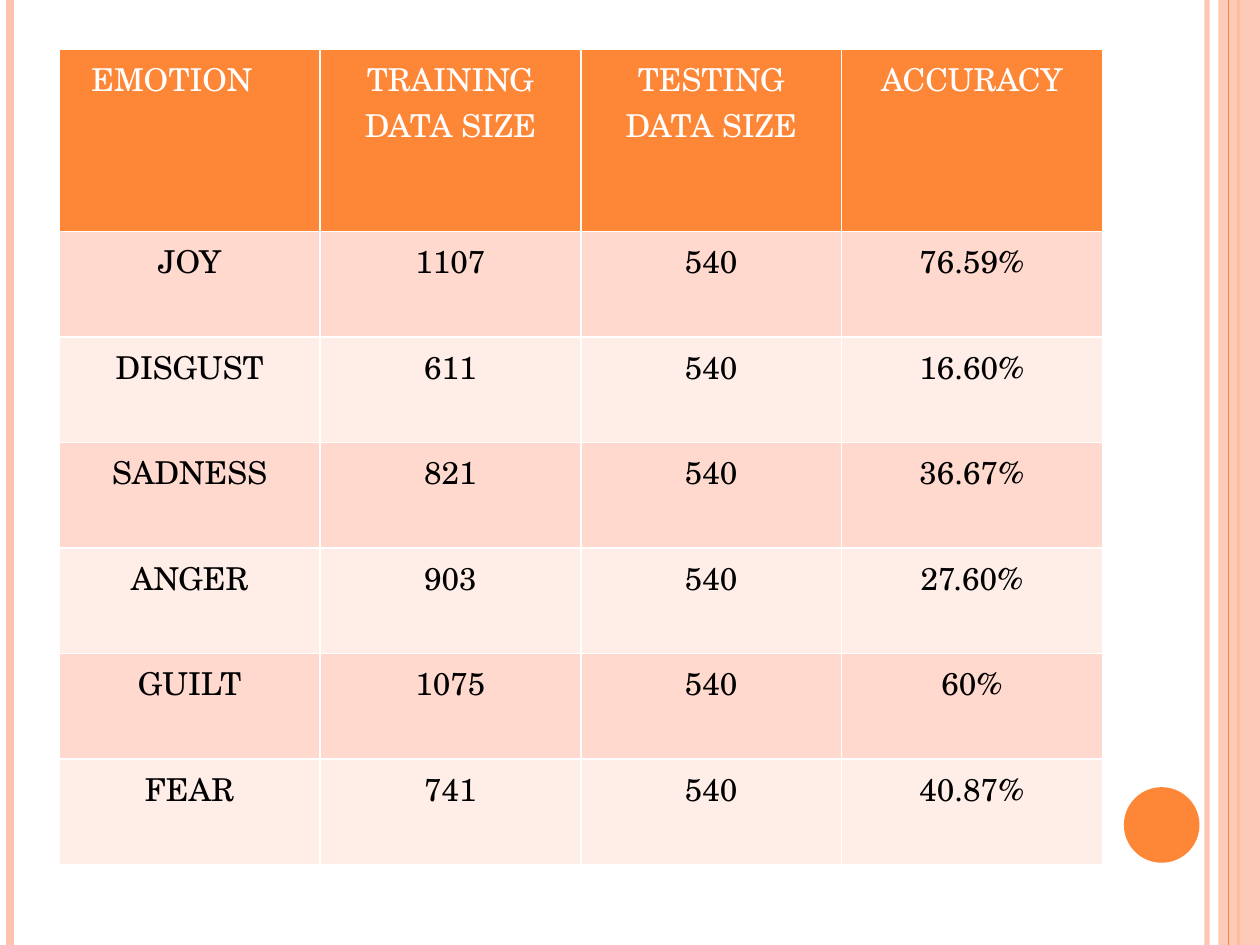
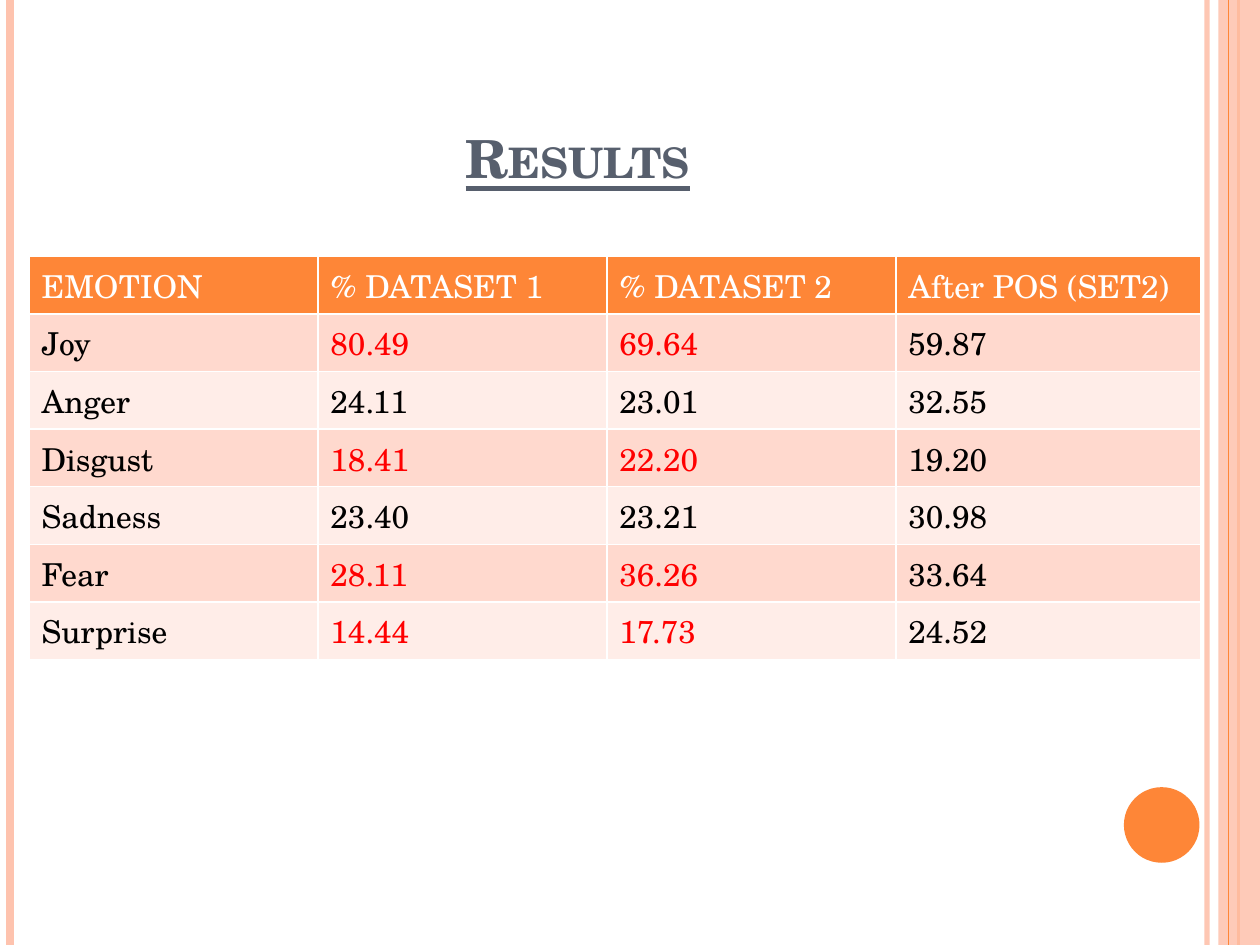
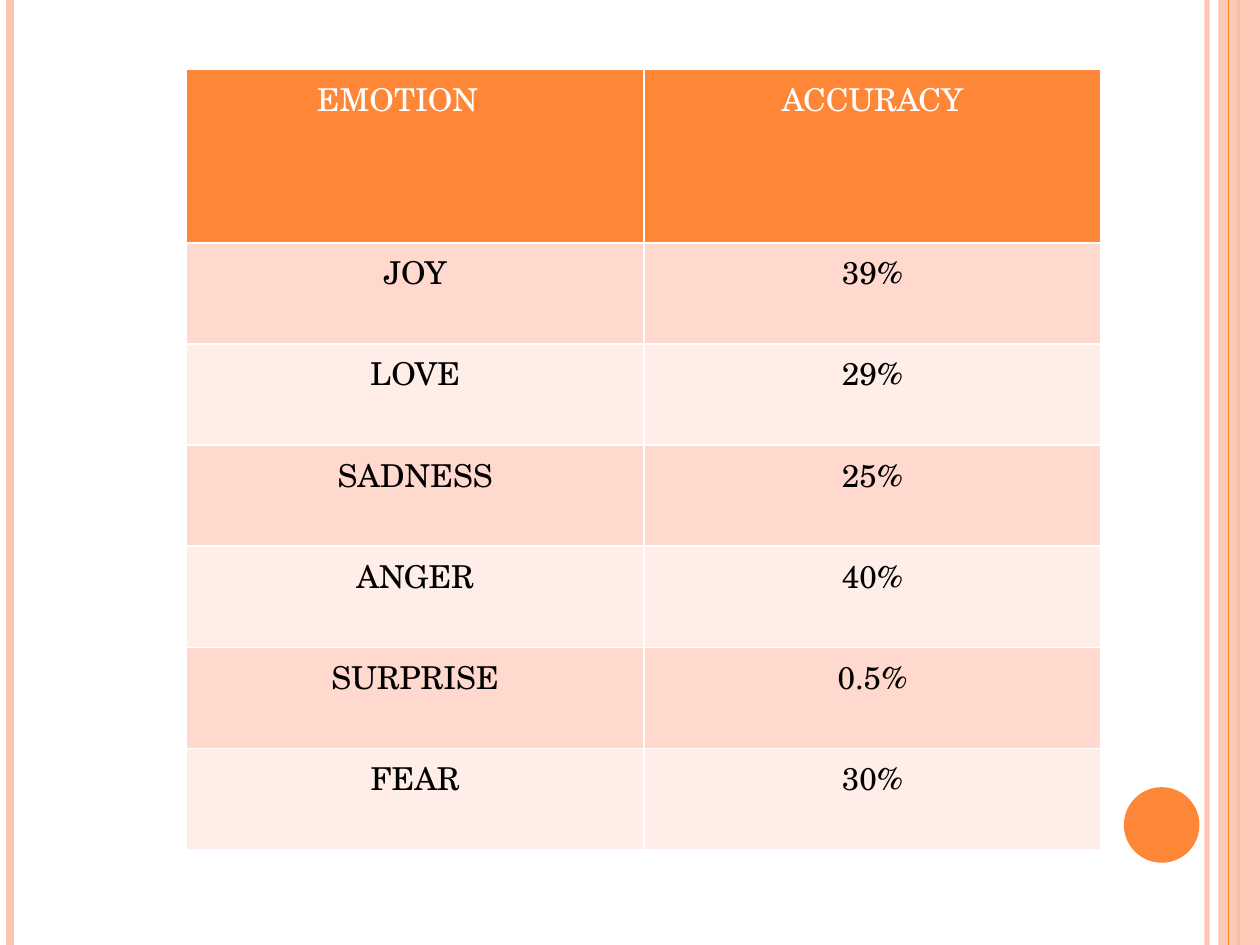
from dataclasses import dataclass

from lxml.etree import SubElement
from pptx import Presentation
from pptx.dml.color import RGBColor
from pptx.enum.shapes import MSO_CONNECTOR as Connector, MSO_SHAPE as Shape
from pptx.enum.text import MSO_ANCHOR as Anchor, PP_ALIGN as Align
from pptx.oxml.ns import qn
from pptx.util import Inches, Pt

WIDTH, HEIGHT = Inches(10), Inches(7.5)
UNSTYLED_TABLE = "{2D5ABB26-0587-4C30-8999-92F81FD0307C}"


@dataclass(frozen=True)
class Theme:
    """Colours, font and type sizes of the deck."""
    font: str = "TeX Gyre Schola"
    title_size: int = 30
    table_size: int = 18
    orange: str = "FE8637"
    peach: str = "FEC3AE"
    slate: str = "575F6D"
    black: str = "000000"
    white: str = "FFFFFF"
    red: str = "FF0000"
    bands: tuple = ("FFD9CE", "FFEDE8")


THEME = Theme()

STRIPES = [
    (95.8, THEME.peach, 3, 93),
    (0.8, THEME.peach, 4.5, 100),
    (98.3, THEME.orange, 1.5, 100),
]
INNER_STRIPE = (97.5, THEME.orange, 0.75, 100)

TRAINING_RESULTS = [
    ("EMOTION", "TRAINING DATA SIZE", "TESTING DATA SIZE", "ACCURACY"),
    ("JOY", "1107", "540", "76.59%"),
    ("DISGUST", "611", "540", "16.60%"),
    ("SADNESS", "821", "540", "36.67%"),
    ("ANGER", "903", "540", "27.60%"),
    ("GUILT", "1075", "540", "60%"),
    ("FEAR", "741", "540", "40.87%"),
]
DATASET_RESULTS = [
    ("EMOTION", "% DATASET 1", "% DATASET 2"),
    ("Joy", "80.49", "69.64"),
    ("Anger", "24.11", "23.01"),
    ("Disgust", "18.41", "22.20"),
    ("Sadness", "23.40", "23.21"),
    ("Fear", "28.11", "36.26"),
    ("Surprise", "14.44", "17.73"),
]
HIGHLIGHTED = ("Joy", "Disgust", "Fear", "Surprise")
POS_RESULTS = [("After POS (SET2)",), ("59.87",), ("32.55",), ("19.20",),
               ("30.98",), ("33.64",), ("24.52",)]
ACCURACY_RESULTS = [
    ("EMOTION", "ACCURACY"),
    ("JOY", "39%"),
    ("LOVE", "29%"),
    ("SADNESS", "25%"),
    ("ANGER", "40%"),
    ("SURPRISE", "0.5%"),
    ("FEAR", "30%"),
]


def across(percent):
    """Return a share of the slide's width."""
    return int(WIDTH * percent / 100)


def down(percent):
    """Return a share of the slide's height."""
    return int(HEIGHT * percent / 100)


def paint(fill, color, opacity=100):
    """Give a fill a solid colour, translucent below full opacity."""
    fill.solid()
    fill.fore_color.rgb = RGBColor.from_string(color)
    if opacity < 100:
        for tone in fill._xPr.iter(qn("a:srgbClr")):
            SubElement(tone, qn("a:alpha"), val=str(opacity * 1000))


def style_text(paragraph, size, color, align):
    """Set the font and alignment of a paragraph."""
    paragraph.alignment = align
    font = paragraph.font
    font.name, font.size = THEME.font, Pt(size)
    font.color.rgb = RGBColor.from_string(color)


def add_stripe(slide, x, color, weight, opacity):
    """Draw a vertical line over the full height of the slide."""
    stripe = slide.shapes.add_connector(
        Connector.STRAIGHT, across(x), 0, across(x), HEIGHT)
    stripe.line.width = Pt(weight)
    paint(stripe.line.fill, color, opacity)
    SubElement(stripe._element.spPr, qn("a:effectLst"))


def add_block(slide, kind, x, y, width, height, color, opacity=100):
    """Draw a plain filled shape without outline."""
    block = slide.shapes.add_shape(
        kind, across(x), down(y), across(width), down(height))
    block.shadow.inherit = False
    block.line.fill.background()
    paint(block.fill, color, opacity)


def add_framed_slide(deck):
    """Add a blank slide with the side bands and the dot."""
    slide = deck.slides.add_slide(deck.slide_layouts[6])
    for stripe in STRIPES:
        add_stripe(slide, *stripe)
    add_block(slide, Shape.RECTANGLE, 96.7, 0, 3.3, 100, THEME.peach, 87)
    add_stripe(slide, *INNER_STRIPE)
    add_block(slide, Shape.OVAL, 89.2, 83.3, 6, 8, THEME.orange)
    return slide


def add_title(slide, text):
    """Write an underlined title in small capitals."""
    title = slide.shapes.add_textbox(
        across(5), down(4), across(81.7), down(16.7)).text_frame
    title.word_wrap = True
    title.vertical_anchor = Anchor.BOTTOM
    heading = title.paragraphs[0]
    heading.text = text
    style_text(heading, THEME.title_size, THEME.slate, Align.CENTER)
    heading.font.bold = heading.font.underline = True
    heading._p.pPr.find(qn("a:defRPr")).set("cap", "small")


def add_borders(cell):
    """Draw thin white lines on the four sides of a cell."""
    properties = cell._tc.get_or_add_tcPr()
    for position, side in enumerate(("a:lnL", "a:lnR", "a:lnT", "a:lnB")):
        edge = SubElement(properties, qn(side), w=str(Pt(1)))
        SubElement(SubElement(edge, qn("a:solidFill")),
                   qn("a:srgbClr"), val=THEME.white)
        properties.insert(position, edge)


def add_results(slide, records, x, y, column, header, row,
                align=Align.LEFT, highlighted=()):
    """Add a banded table, with the values of highlighted emotions in red."""
    results = slide.shapes.add_table(
        len(records), len(records[0]), across(x), down(y),
        across(column * len(records[0])),
        down(header + row * (len(records) - 1))).table
    results._tbl.tblPr.find(qn("a:tableStyleId")).text = UNSTYLED_TABLE
    for field in results.columns:
        field.width = across(column)
    for r, record in enumerate(records):
        results.rows[r].height = down(row if r else header)
        for c, value in enumerate(record):
            cell = results.cell(r, c)
            cell.text = value
            paint(cell.fill, THEME.bands[(r - 1) % 2] if r else THEME.orange)
            add_borders(cell)
            color = THEME.black if r else THEME.white
            if c and record[0] in highlighted:
                color = THEME.red
            style_text(cell.text_frame.paragraphs[0],
                       THEME.table_size, color, align)
    if align == Align.CENTER:
        results.cell(0, 0).margin_right = across(3.8)


def main():
    """Build the three slides of emotion results."""
    deck = Presentation()
    deck.slide_width, deck.slide_height = WIDTH, HEIGHT

    training = add_framed_slide(deck)
    add_results(training, TRAINING_RESULTS, 4.7, 5.2, 20.7, 19.3, 11.17,
                Align.CENTER)

    datasets = add_framed_slide(deck)
    add_title(datasets, "Results")
    add_results(datasets, DATASET_RESULTS, 2.3, 27.1, 22.93, 6.1, 6.1,
                highlighted=HIGHLIGHTED)
    add_results(datasets, POS_RESULTS, 71.1, 27.1, 24.2, 6.1, 6.1)

    accuracy = add_framed_slide(deck)
    add_results(accuracy, ACCURACY_RESULTS, 14.8, 7.3, 36.3, 18.4, 10.7,
                Align.CENTER)

    deck.save("out.pptx")


if __name__ == "__main__":
    main()
